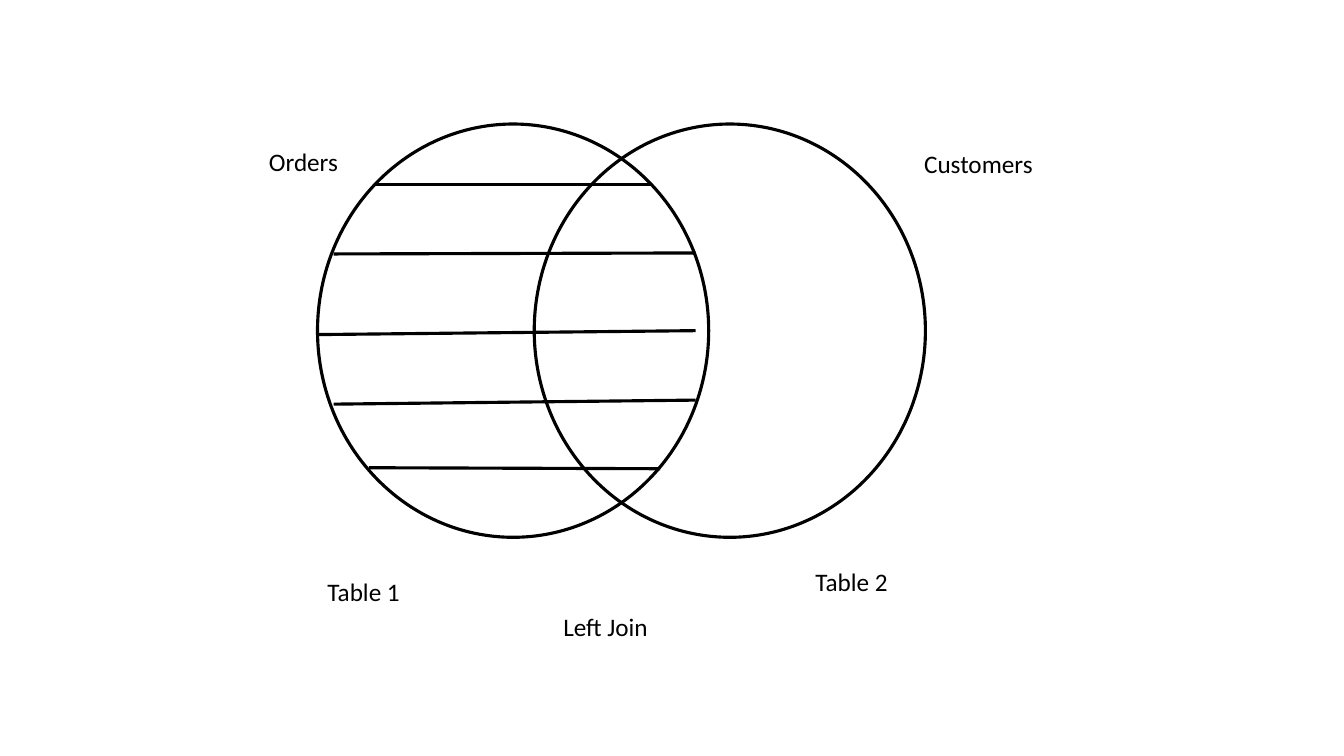
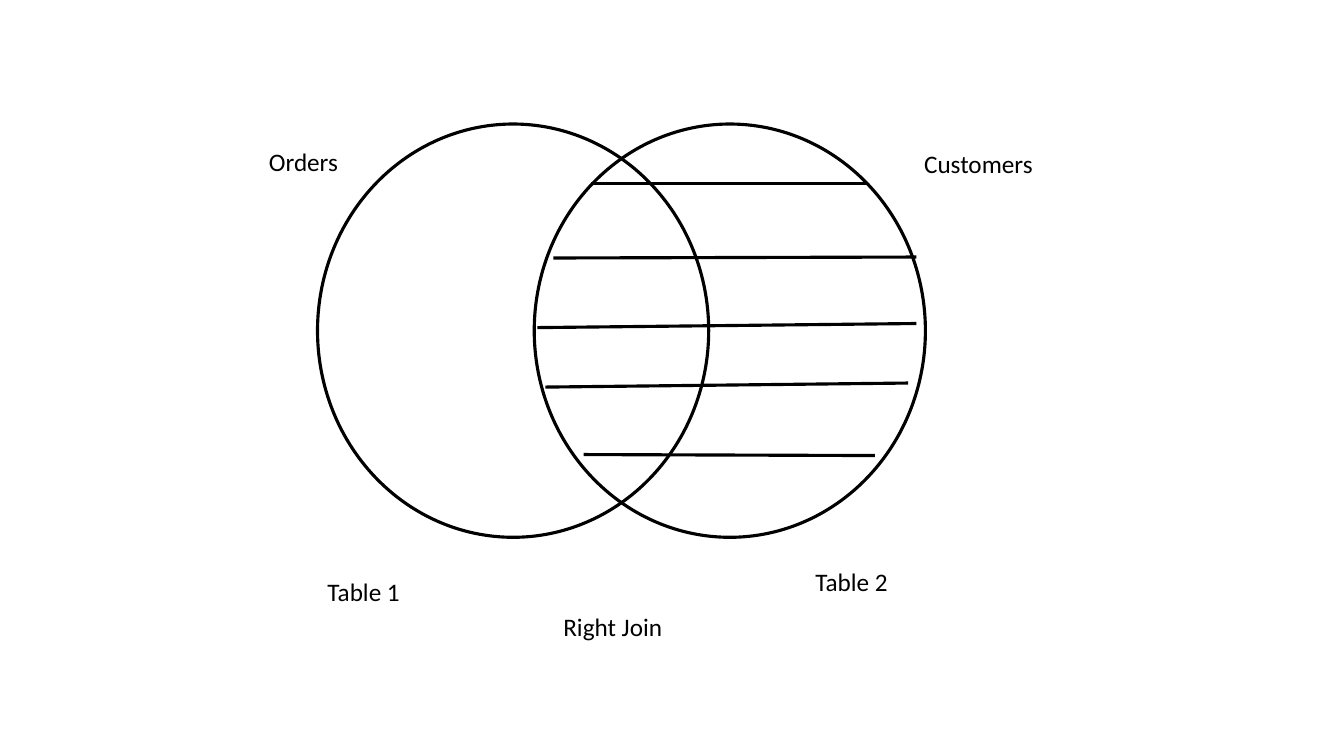
import pptx
import pptx.dml.color
import pptx.enum.shapes
import pptx.enum.text
import pptx.oxml.ns
import pptx.util
from dataclasses import dataclass
from lxml import etree

Pt = pptx.util.Pt


@dataclass(frozen=True)
class Theme:
    ink: pptx.dml.color.RGBColor = pptx.dml.color.RGBColor(0, 0, 0)
    font: str = "Calibri"
    text_size: float = 18
    stroke: float = 2.25


THEME = Theme()
FONT = {"name": THEME.font, "size": Pt(THEME.text_size)}
FRAME = {"word_wrap": False,
         "auto_size": pptx.enum.text.MSO_AUTO_SIZE.SHAPE_TO_FIT_TEXT}

# Shared Venn geometry, in points
CIRCLE_LEFTS = (226.8, 381.6)
CIRCLE_TOP, CIRCLE_WIDTH, CIRCLE_HEIGHT = 88.6, 279.4, 295.2
LABEL_HEIGHT = 29

# Labels on both slides: text, left, top, width
LABELS = [
    ("Table 1", 226.8, 408.2, 67),
    ("Table 2", 575.3, 401, 67),
    ("Orders", 185, 100.8, 64.1),
    ("Customers", 653, 102.2, 92.9),
]
CAPTION_LEFT, CAPTION_TOP = 395.3, 433.4

# Each join: caption, caption width, hatch lines (x1, y1, x2, y2)
JOINS = [
    ("Left Join", 76.3, [
        (267.8, 131.8, 465.1, 131.8),
        (238.3, 181.4, 496.8, 180.7),
        (226.8, 239, 496.8, 236.2),
        (238.3, 288.7, 496.8, 285.8),
        (263.5, 334.1, 471.6, 334.8),
    ]),
    ("Right Join", 85.7, [
        (421.9, 131, 619.9, 131),
        (395.3, 184.3, 654.5, 183.6),
        (383.8, 234, 654.5, 231.1),
        (389.5, 276.5, 648.7, 273.6),
        (416.9, 324.7, 625, 325.4),
    ]),
]


def apply(target, values):
    for name, value in values.items():
        setattr(target, name, value)


def style_line(line):
    line.color.rgb = THEME.ink
    line.width = Pt(THEME.stroke)


def add_circle(s, left):
    sp = s.shapes.add_shape(
        pptx.enum.shapes.MSO_SHAPE.OVAL, Pt(left), Pt(CIRCLE_TOP),
        Pt(CIRCLE_WIDTH), Pt(CIRCLE_HEIGHT))
    sp.shadow.inherit = False
    sp.fill.background()
    style_line(sp.line)


def add_label(s, text, left, top, width):
    sp = s.shapes.add_textbox(Pt(left), Pt(top), Pt(width), Pt(LABEL_HEIGHT))
    tf = sp.text_frame
    apply(tf, FRAME)
    r = tf.paragraphs[0].add_run()
    r.text = text
    apply(r.font, FONT)
    r.font.color.rgb = THEME.ink


def add_hatch(s, x1, y1, x2, y2):
    line = s.shapes.add_connector(
        pptx.enum.shapes.MSO_CONNECTOR.STRAIGHT, Pt(x1), Pt(y1), Pt(x2), Pt(y2))
    style_line(line.line)
    # An empty effect list removes the connector's shadow
    etree.SubElement(line._element.spPr, pptx.oxml.ns.qn("a:effectLst"))


def add_join_slide(prs, caption, caption_width, hatches):
    s = prs.slides.add_slide(prs.slide_layouts.get_by_name("Blank"))
    # Overlapping tables
    for left in CIRCLE_LEFTS:
        add_circle(s, left)
    # Labels and caption
    for label in LABELS:
        add_label(s, *label)
    add_label(s, caption, CAPTION_LEFT, CAPTION_TOP, caption_width)
    # Rows kept by the join
    for hatch in hatches:
        add_hatch(s, *hatch)


def main():
    prs = pptx.Presentation()
    apply(prs, {"slide_width": Pt(960), "slide_height": Pt(540)})
    for join in JOINS:
        add_join_slide(prs, *join)
    prs.save("out.pptx")


main()
